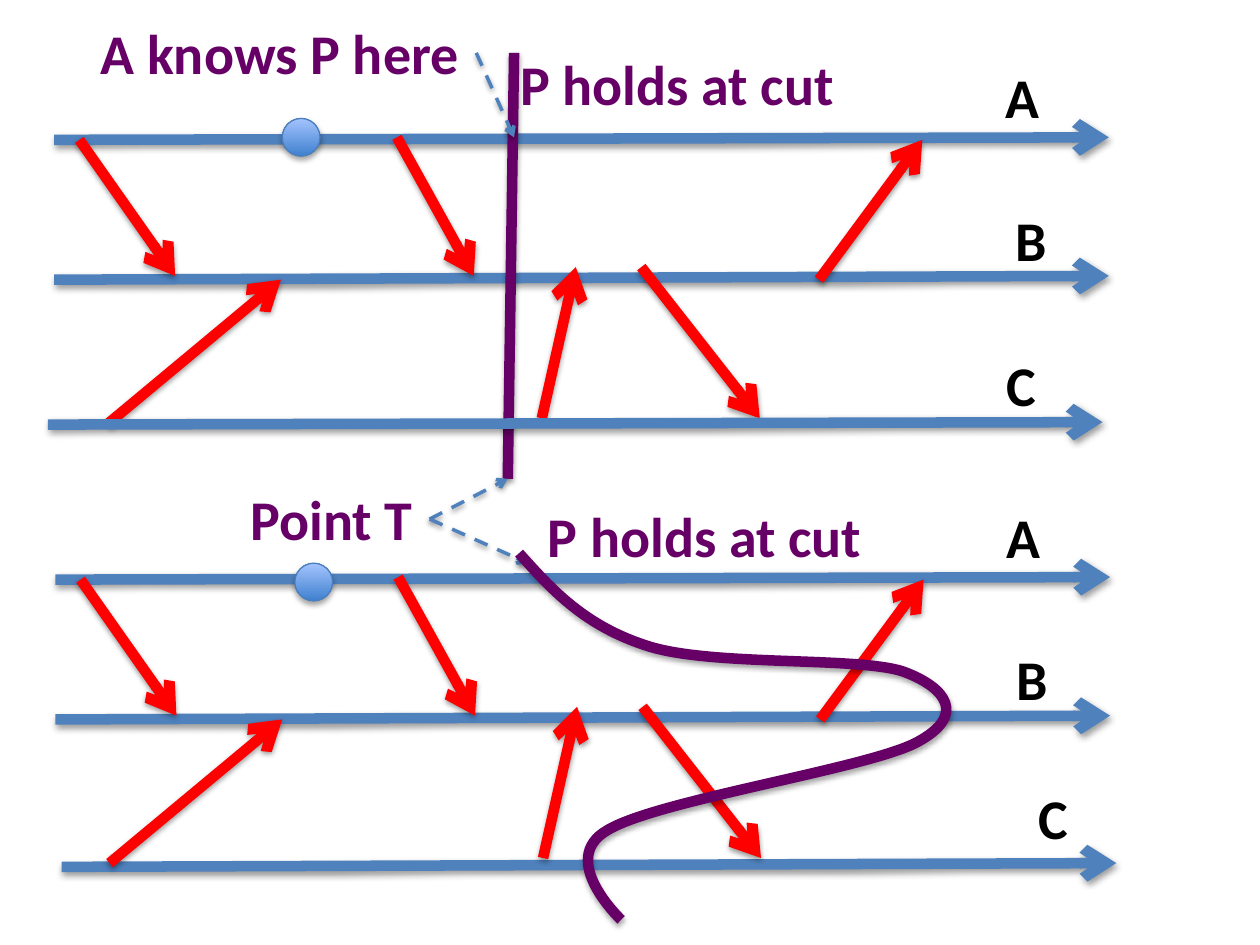
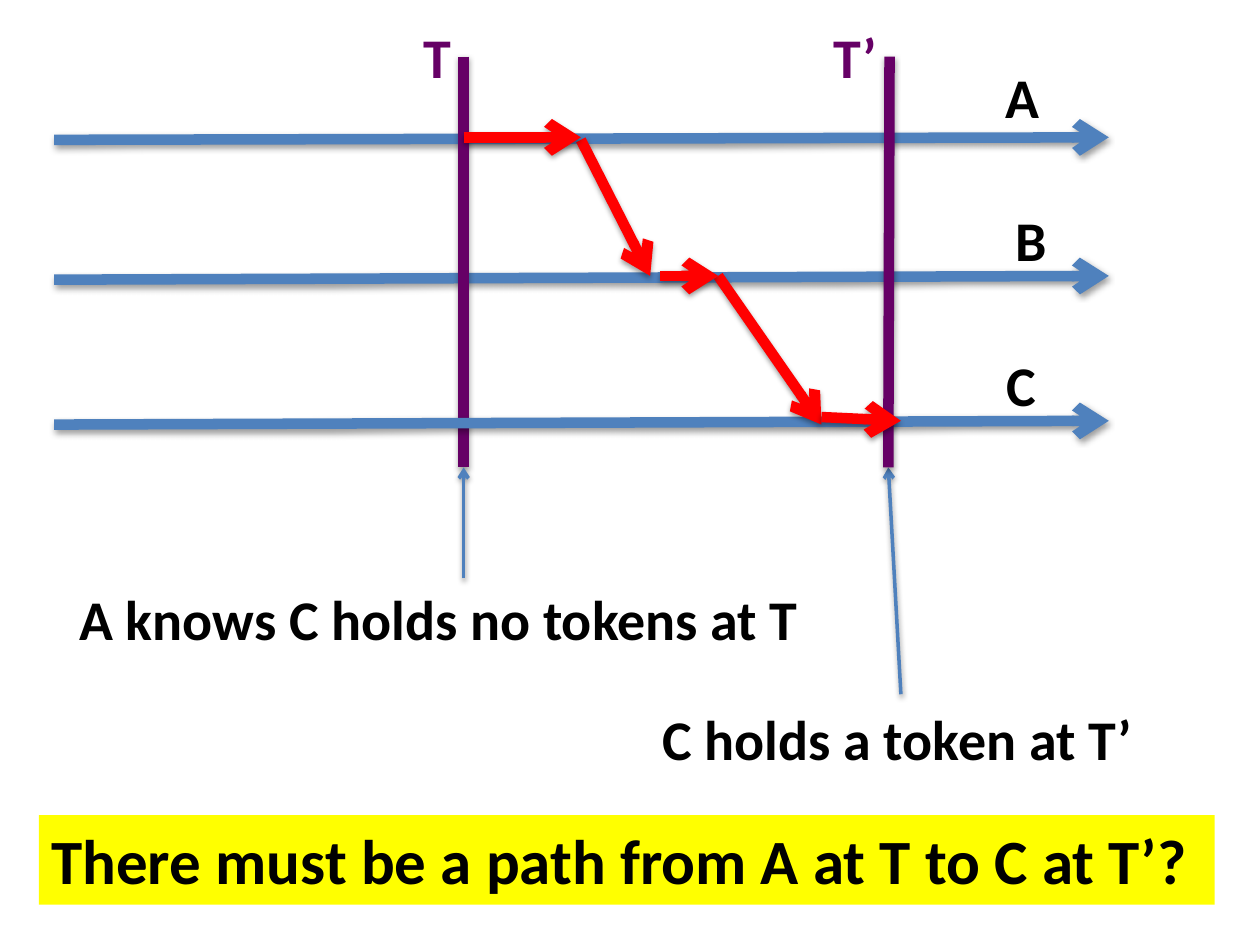
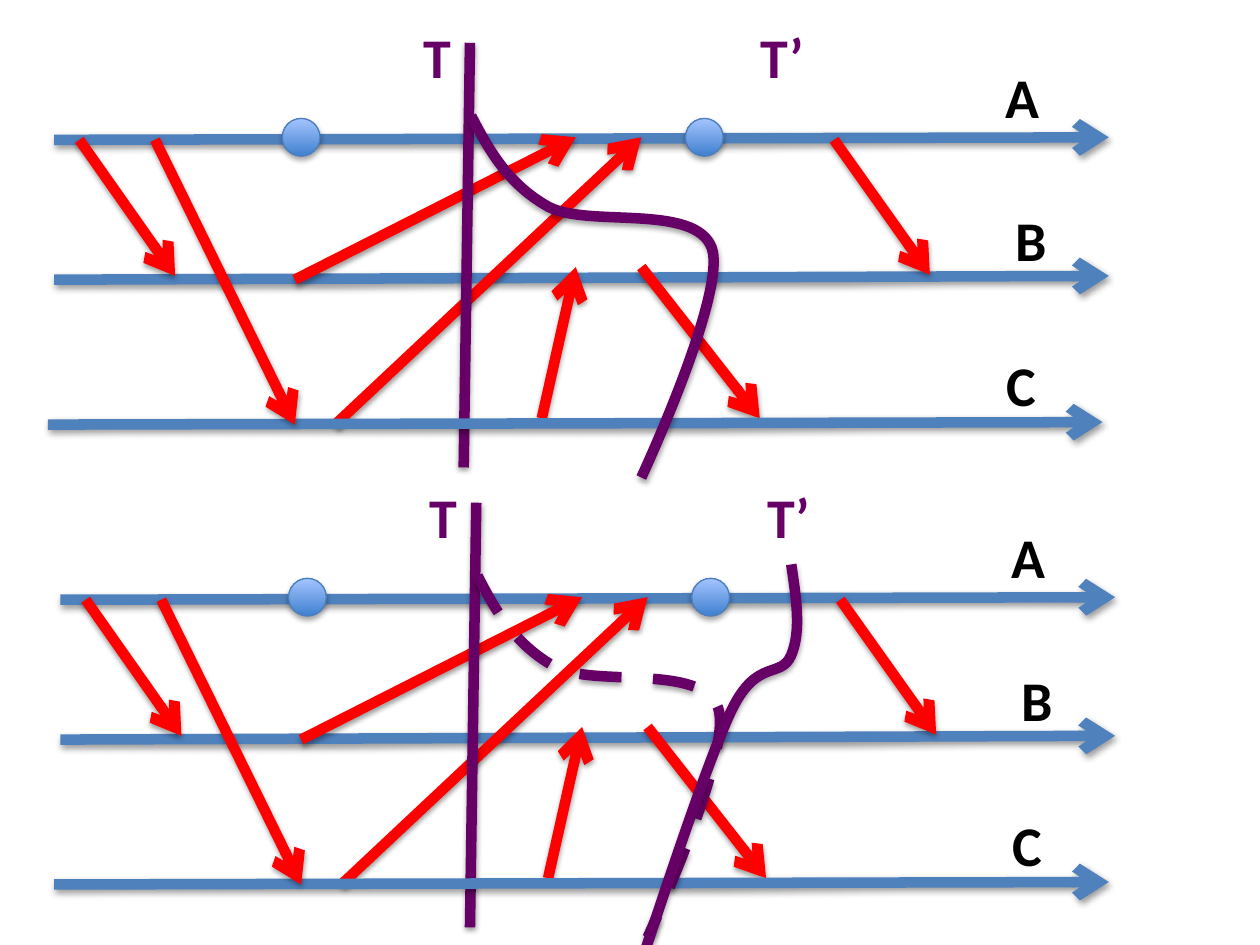
"""Build three slides about cuts and knowledge on process timelines."""
import lxml.etree
import pptx
import pptx.dml.color
import pptx.enum.dml
import pptx.enum.shapes
import pptx.enum.text
import pptx.oxml.ns
import pptx.util

PX = 9144
COLORS = {
    "black": "000000",
    "timeline": "4F81BD",
    "message": "FF0000",
    "cut": "660066",
    "banner": "FFFF00",
    "event_edge": "4B7EBC",
    "event_bottom": "3F80CE",
    "event_top": "A4C4FF",
}
TIMELINE_LENGTH = 837
TIMELINES = {
    "A": dict(left=43, start=111, end=109, label=(788, 45, 47)),
    "B": dict(left=43, start=222, end=219, label=(796, 158, 45)),
    "C": dict(left=38, start=337, end=335, label=(789, 273, 44)),
}
SHARED_MESSAGES = [
    (63, 111, 139, 219),
    (509, 212, 603, 332),
    (430, 332, 457, 212),
]
KNOWS_MESSAGES = SHARED_MESSAGES + [
    (315, 109, 376, 219),
    (650, 222, 732, 111),
    (86, 336, 223, 222),
]
EARLY_MESSAGES = SHARED_MESSAGES + [(234, 222, 457, 109), (266, 337, 509, 109)]
LATE_MESSAGES = [(123, 111, 234, 337), (662, 111, 738, 218)]
TOKEN_ROUTE = [
    (461, 111, 516, 219),
    (570, 219, 652, 337),
    (368, 109, 461, 109),
    (652, 331, 715, 334),
    (524, 219, 570, 219),
]
WAVY_CUT = [
    (411, 90), (437, 119), (463, 148), (514, 164),
    (565, 180), (680, 172), (716, 184),
    (751, 197), (766, 219), (727, 240),
    (688, 261), (520, 286), (481, 310),
    (441, 333), (492, 381), (492, 381),
]
BENT_CUT = [
    (374, 92), (388, 119), (403, 146), (435, 164),
    (466, 181), (552, 161), (565, 197),
    (577, 233), (509, 379), (509, 379),
]
LATER_CUT = [
    (623, 83), (627, 110), (631, 136), (623, 155),
    (615, 174), (596, 157), (576, 198),
    (556, 238), (504, 399), (504, 399),
]


def rgb(name):
    """Return the named colour."""
    return pptx.dml.color.RGBColor.from_string(COLORS[name])


def add_node(parent, tag, **attributes):
    """Append a drawing element to an XML parent."""
    return lxml.etree.SubElement(parent, pptx.oxml.ns.qn(tag), **attributes)


def write_text(shape, text, size=32, color="black", bold=True):
    """Put one unwrapped, formatted line of text into a shape."""
    frame = shape.text_frame
    frame.word_wrap = False
    frame.auto_size = pptx.enum.text.MSO_AUTO_SIZE.SHAPE_TO_FIT_TEXT
    run = frame.paragraphs[0].add_run()
    run.text = text
    run.font.name = "Calibri"
    run.font.size = pptx.util.Pt(size)
    run.font.bold = bold
    run.font.color.rgb = rgb(color)


def curve_bounds(points, steps=20):
    """Return the two corners of the box around joined cubic curves."""
    reached = [points[0]]
    for first in range(0, len(points) - 1, 3):
        corners = points[first:first + 4]
        for step in range(1, steps + 1):
            t = step / steps
            weights = ((1 - t) ** 3, 3 * t * (1 - t) ** 2, 3 * t * t * (1 - t), t ** 3)
            reached.append([
                sum(weight * corner[axis] for weight, corner in zip(weights, corners))
                for axis in (0, 1)])
    columns, rows = zip(*reached)
    return (min(columns), min(rows)), (max(columns), max(rows))


class Board:
    """Draw timeline elements on the current slide."""

    def __init__(self, presentation):
        """Keep the presentation."""
        self.presentation = presentation
        self.move(0, 0)

    def new_slide(self):
        """Start a blank slide."""
        layout = self.presentation.slide_layouts[6]
        self.shapes = self.presentation.slides.add_slide(layout).shapes
        self.move(0, 0)

    def move(self, left, top):
        """Set the origin of the elements that follow."""
        self.left, self.top = left, top

    def place(self, x, y):
        """Turn a point in px into EMU on the slide."""
        return round((self.left + x) * PX), round((self.top + y) * PX)

    def stroke(self, shape, color, width, dashed):
        """Format the line of a shape."""
        shape.line.color.rgb = rgb(color)
        shape.line.width = pptx.util.Pt(width)
        if dashed:
            shape.line.dash_style = pptx.enum.dml.MSO_LINE.DASH

    def line(self, x1, y1, x2, y2, color, width=6, dashed=False, arrow=True):
        """Draw a straight line with the theme's soft shadow."""
        straight = pptx.enum.shapes.MSO_CONNECTOR.STRAIGHT
        connector = self.shapes.add_connector(
            straight, *self.place(x1, y1), *self.place(x2, y2))
        self.stroke(connector, color, width, dashed)
        if arrow:
            add_node(connector.line._get_or_add_ln(), "a:tailEnd", type="arrow")

    def messages(self, ends):
        """Draw message arrows."""
        for end in ends:
            self.line(*end, "message")

    def pointer(self, x1, y1, x2, y2, dashed=False):
        """Draw a thin arrow from a remark to its point."""
        self.line(x1, y1, x2, y2, "timeline", width=2, dashed=dashed)

    def cut(self, x1, y1, x2, y2):
        """Draw a straight cut."""
        self.line(x1, y1, x2, y2, "cut", arrow=False)

    def curved_cut(self, points, dashed=False):
        """Draw a cut of joined cubic curves."""
        near, far = curve_bounds(points)
        builder = self.shapes.build_freeform(*self.place(*near))
        builder.add_line_segments([self.place(*far)], close=False)
        shape = builder.convert_to_shape()
        outline = shape._element.find(".//" + pptx.oxml.ns.qn("a:path"))
        for child in list(outline):
            outline.remove(child)
        for first in range(-2, len(points), 3):
            tag = "a:moveTo" if first < 0 else "a:cubicBezTo"
            segment = add_node(outline, tag)
            for point in points[max(first, 0):first + 3]:
                x, y = self.place(*point)
                add_node(segment, "a:pt", x=str(x - shape.left), y=str(y - shape.top))
        shape.fill.background()
        self.stroke(shape, "cut", 6, dashed)

    def label(self, text, left, top, width, height=64, fill=None, **text_format):
        """Add a text box."""
        box = self.shapes.add_textbox(*self.place(left, top), width * PX, height * PX)
        if fill:
            box.fill.solid()
            box.fill.fore_color.rgb = rgb(fill)
        write_text(box, text, **text_format)

    def timeline(self, name, **changes):
        """Draw a process arrow and its letter."""
        row = {**TIMELINES[name], **changes}
        self.line(row["left"], row["start"], row["left"] + TIMELINE_LENGTH, row["end"],
                  "timeline")
        self.label(name, *row["label"])

    def event(self, left, top):
        """Draw an event ball with the theme's soft shadow."""
        ball = self.shapes.add_shape(
            pptx.enum.shapes.MSO_SHAPE.OVAL, *self.place(left, top), 30 * PX, 30 * PX)
        ball.fill.gradient()
        ball.fill.gradient_angle = 90
        for stop, color in zip(ball.fill.gradient_stops, ("event_bottom", "event_top")):
            stop.color.rgb = rgb(color)
        self.stroke(ball, "event_edge", 0.75, False)


def build_knowing(board):
    """Show one property at a straight and at a curved cut."""
    board.new_slide()
    board.timeline("A")
    board.timeline("B")
    board.messages(KNOWS_MESSAGES)
    board.cut(408, 42, 403, 380)
    board.timeline("C")
    board.event(224, 94)
    board.label("P holds at cut", 403, 34, 272, color="cut")
    board.label("Point T", 189, 380, 152, color="cut")
    board.label("A knows P here", 70, 10, 308, color="cut")
    board.pointer(341, 412, 403, 380, dashed=True)
    board.pointer(341, 412, 419, 447, dashed=True)
    board.pointer(378, 42, 408, 109, dashed=True)

    board.move(1, 349)
    board.timeline("A")
    board.timeline("B")
    board.timeline("C", left=48, start=339, end=336, label=(813, 268, 44))
    board.messages(KNOWS_MESSAGES)
    board.event(233, 98)
    board.label("P holds at cut", 424, 44, 272, color="cut")
    board.curved_cut(WAVY_CUT)


def build_token_route(board):
    """Show the route of messages between two cuts."""
    board.new_slide()
    board.timeline("A")
    board.timeline("B")
    board.cut(368, 45, 368, 371)
    board.timeline("C", left=43, end=334)
    board.label("T", 326, 13, 43, color="cut")
    board.label("T’", 652, 13, 54, color="cut")
    board.label("A knows C holds no tokens at T", 53, 459, 598)
    board.pointer(368, 459, 368, 371)
    board.label("C holds a token at T’", 516, 554, 396)
    board.pointer(715, 551, 705, 371)
    board.label("There must be a path from A at T to C at T’?", 31, 647, 933,
                height=71, fill="banner", size=36)
    board.cut(706, 45, 705, 371)
    board.messages(TOKEN_ROUTE)


def build_later_cut(board):
    """Show how the second cut moves past an event."""
    board.new_slide()
    for origin, dashed in (((0, 0), False), ((5, 365), True)):
        board.move(*origin)
        board.timeline("A")
        board.timeline("B")
        board.messages(EARLY_MESSAGES)
        board.cut(373, 34, 368, 371)
        board.timeline("C")
        board.messages(LATE_MESSAGES)
        board.event(224, 94)
        board.event(544, 94)
        board.label("T", 326, 13, 43, color="cut")
        board.label("T’", 594, 13, 54, color="cut")
        board.curved_cut(BENT_CUT, dashed)
    board.curved_cut(LATER_CUT)


def main():
    """Build and save the presentation."""
    presentation = pptx.Presentation()
    presentation.slide_width = 1000 * PX
    presentation.slide_height = 750 * PX
    board = Board(presentation)
    build_knowing(board)
    build_token_route(board)
    build_later_cut(board)
    presentation.save("out.pptx")


if __name__ == "__main__":
    main()
